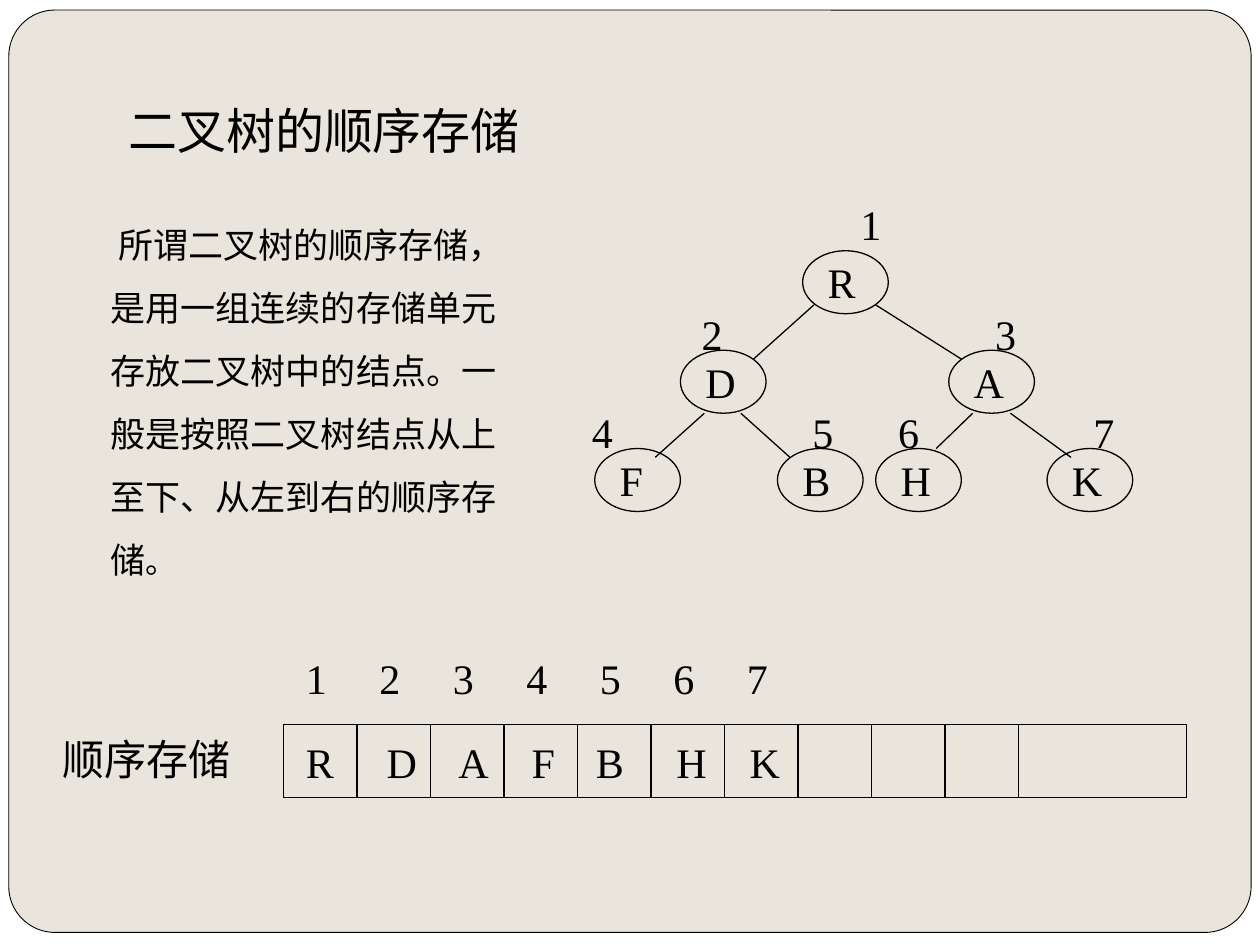
from pptx import Presentation
from pptx.dml.color import RGBColor
from pptx.enum.shapes import MSO_CONNECTOR, MSO_SHAPE
from pptx.enum.text import MSO_AUTO_SIZE
from pptx.oxml.ns import qn
from pptx.util import Inches, Pt
from lxml import etree

LINE = MSO_CONNECTOR.STRAIGHT
RECT = MSO_SHAPE.RECTANGLE
ROUND = MSO_SHAPE.ROUNDED_RECTANGLE
OVAL = MSO_SHAPE.OVAL
GROW = MSO_AUTO_SIZE.SHAPE_TO_FIT_TEXT
COLORS = {"ink": "000000", "paper": "E9E5DC", "white": "FFFFFF"}
ROMAN = "Times New Roman"
SANS = "Noto Sans CJK SC"


class Board:
    """Draws styled elements on the current slide or group."""

    def __init__(self, slide):
        self.slide = slide
        self.shapes = slide.shapes

    def color(self, name):
        return RGBColor.from_string(COLORS[name])

    def group(self):
        self.shapes = self.slide.shapes.add_group_shape().shapes

    def ungroup(self):
        self.shapes = self.slide.shapes

    def shape(self, kind, x, y, w, h, fill=None, width=0.75):
        shape = self.shapes.add_shape(kind, Inches(x), Inches(y), Inches(w), Inches(h))
        shape.shadow.inherit = False
        if fill:
            shape.fill.solid()
            shape.fill.fore_color.rgb = self.color(fill)
        else:
            shape.fill.background()
        if width:
            shape.line.color.rgb = self.color("ink")
            shape.line.width = Pt(width)
        else:
            shape.line.fill.background()
        return shape

    def line(self, x1, y1, x2, y2):
        line = self.shapes.add_connector(LINE, Inches(x1), Inches(y1), Inches(x2), Inches(y2))
        line.line.color.rgb = self.color("ink")
        line.line.width = Pt(0.75)
        etree.SubElement(line._element.spPr, qn("a:effectLst"))

    def text(self, words, x, y, w, h=0.5, size=24, font=ROMAN, wrap=False, tabs=()):
        box = self.shapes.add_textbox(Inches(x), Inches(y), Inches(w), Inches(h))
        frame = box.text_frame
        frame.word_wrap = wrap
        frame.auto_size = GROW
        par = frame.paragraphs[0]
        par.add_run().text = words
        props = par._p.get_or_add_pPr()
        if tabs:
            stops = etree.SubElement(props, qn("a:tabLst"))
            for pos in tabs:
                etree.SubElement(stops, qn("a:tab"), pos=str(Inches(pos)), algn="l")
        par.font.size = Pt(size)
        par.font.name = font
        par.font.color.rgb = self.color("ink")
        etree.SubElement(props.find(qn("a:defRPr")), qn("a:ea"), typeface=SANS)
        return par

    def node(self, label, x, y, w, num, num_x):
        self.shape(OVAL, x, y, 0.68, 0.5)
        self.text(label, x + 0.1, y, w)
        self.text(num, num_x, y - (0.46 if num == "1" else 0.38), 0.37)


def main():
    deck = Presentation()
    deck.slide_width, deck.slide_height = Inches(10), Inches(7.5)
    board = Board(deck.slides.add_slide(deck.slide_layouts[6]))

    board.shape(RECT, 0, 0, 10, 7.5, "white", 0)
    panel = board.shape(ROUND, 0.07, 0.08, 9.86, 7.32, "paper", 0.5)
    panel.adjustments[0] = 0.05

    board.group()
    edges = [
        (6.46, 2.42, 5.98, 2.85), (5.59, 3.28, 5.2, 3.63),
        (5.88, 3.28, 6.27, 3.63), (6.95, 2.42, 7.63, 2.85),
        (7.72, 3.28, 7.43, 3.56), (8.02, 3.28, 8.5, 3.63),
    ]
    for edge in edges:
        board.line(*edge)
    nodes = [
        ("R", 6.37, 1.99, 0.42, 6.73),
        ("D", 5.4, 2.78, 0.44, 5.47), ("A", 7.53, 2.78, 0.44, 7.8),
        ("F", 4.72, 3.56, 0.39, 4.6), ("B", 6.17, 3.56, 0.42, 6.35),
        ("H", 6.95, 3.56, 0.44, 7.03), ("K", 8.31, 3.56, 0.44, 8.58),
    ]
    for num, (label, x, y, w, num_x) in enumerate(nodes, 1):
        board.node(label, x, y, w, str(num), num_x)
    board.ungroup()

    left, top, high, step = 2.25, 5.75, 0.58, 7 / 12
    board.shape(RECT, left, top, 7.17, high)
    for i in range(1, 11):
        board.line(left + i * step, top, left + i * step, top + high)
    board.text("R\tD\tA\tF\tB\tH\tK", 2.33, 5.8, 4.21,
               tabs=(0.64, 1.21, 1.79, 2.3, 2.94, 3.52))
    board.text("1\t2\t3\t4\t5\t6\t7", 2.33, 5.13, 4.03,
               tabs=[i * step for i in range(1, 7)])
    board.text("顺序存储", 0.4, 5.77, 1.53)
    board.text("二叉树的顺序存储", 0.92, 0.75, 3.31, 0.57, 28)

    body = board.text(
        "所谓二叉树的顺序存储，是用一组连续的存储单元存放二叉树中的结点。"
        "一般是按照二叉树结点从上至下、从左到右的顺序存储",
        0.78, 1.56, 3.28, 3.13, 20, SANS, True)
    body.line_spacing = 1.5
    body._p.get_or_add_pPr().set("indent", str(Inches(0.06)))
    stop = body.add_run()
    stop.text = "。"
    stop.font.size = Pt(18)

    deck.save("out.pptx")


if __name__ == "__main__":
    main()
